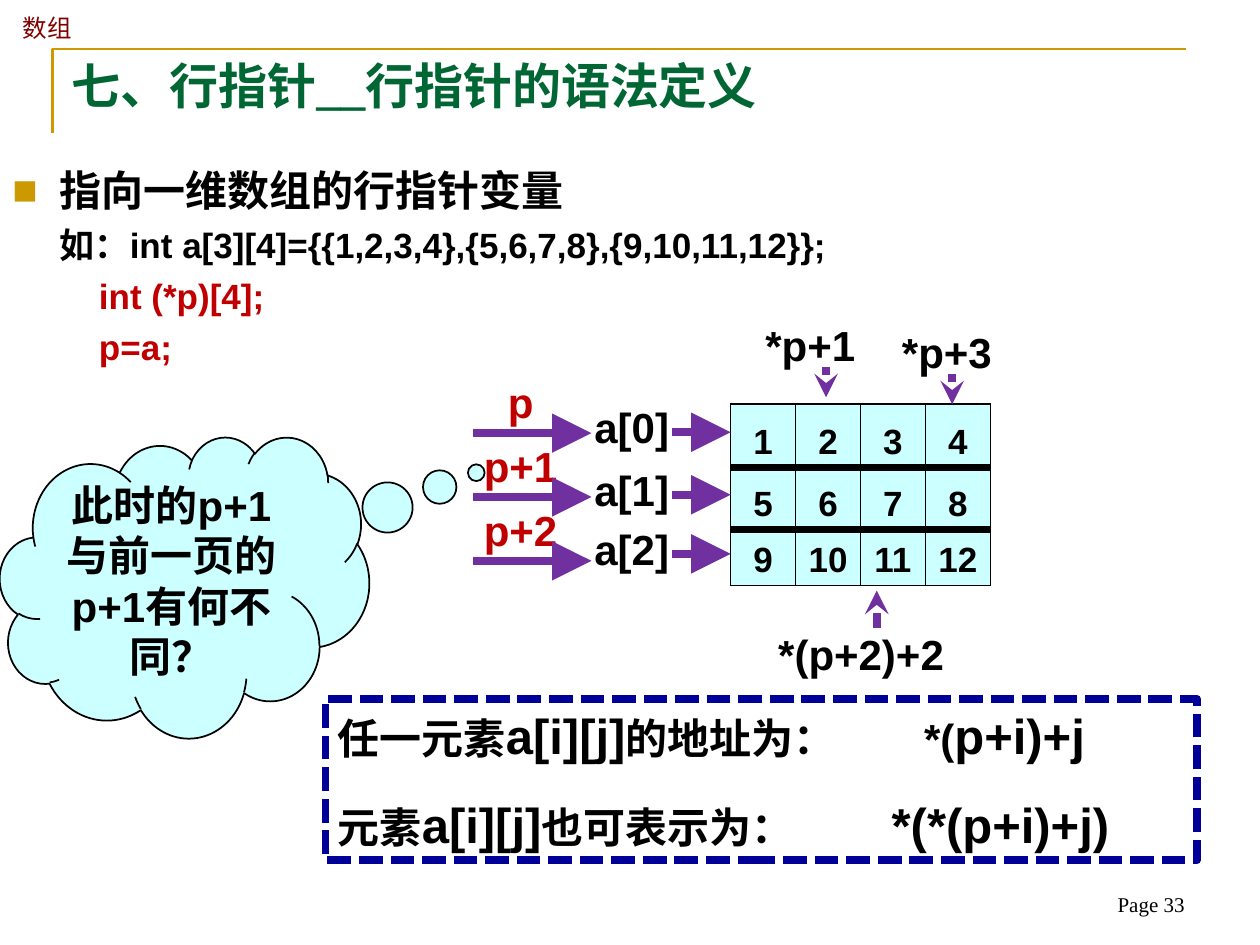
from itertools import accumulate

from lxml import etree
from pptx import Presentation
from pptx.dml.color import RGBColor
from pptx.enum import dml, shapes, text
from pptx.oxml import ns
from pptx.util import Pt

COLORS = {
    "gold": "CC9900", "green": "006633", "maroon": "800000", "red": "C00000",
    "black": "000000", "cyan": "CCFFFF", "purple": "7030A0", "navy": "000099",
}
CENTER = text.PP_ALIGN.CENTER
DASH = dml.MSO_LINE.SQUARE_DOT
THIN, THICK = 1, 4.5
LABEL_WIDTH = 150
COLUMNS = 4


def rgb(name):
    return RGBColor.from_string(COLORS[name])


def sub(parent, tag, **attrs):
    return etree.SubElement(parent, ns.qn(tag), attrs)


def style(p, size, color="black", name="Arial", bold=True, align=None):
    p.alignment = align
    f = p.font
    f.size, f.name, f.bold = Pt(size), name, bold
    f.color.rgb = rgb(color)


def paragraph(tf, index):
    return tf.add_paragraph() if index else tf.paragraphs[0]


def outline(s, color, width, dash=None):
    s.line.color.rgb = rgb(color)
    s.line.width = Pt(width)
    if dash:
        s.line.dash_style = dash


def paint(s, color=None):
    s.shadow.inherit = False
    if color:
        s.fill.solid()
        s.fill.fore_color.rgb = rgb(color)
    else:
        s.fill.background()


def textbox(slide, box, content="", size=24, **look):
    tf = slide.shapes.add_textbox(*map(Pt, box)).text_frame
    tf.word_wrap = True
    if content:
        tf.text = content
        style(tf.paragraphs[0], size, **look)
    return tf


def label(slide, center, top, content, color="black"):
    textbox(slide, (center - LABEL_WIDTH / 2, top, LABEL_WIDTH, 36), content,
            color=color, align=CENTER)


def arrow(slide, start, end, head, dash=None):
    s = slide.shapes.add_connector(
        shapes.MSO_CONNECTOR.STRAIGHT, *map(Pt, (*start, *end)))
    outline(s, "purple", THICK, dash)
    sub(s.line._get_or_add_ln(), "a:tailEnd", **head)
    sub(s._element.spPr, "a:effectLst")


def right_arrow(slide, left, right, y):
    arrow(slide, (left, y), (right, y), {"type": "triangle", "w": "lg", "len": "lg"})


def header(slide, x, y, w, h):
    fb = slide.shapes.build_freeform(Pt(x), Pt(y + h))
    fb.add_line_segments([(Pt(x), Pt(y)), (Pt(x + w), Pt(y))], close=False)
    s = fb.convert_to_shape()
    paint(s)
    outline(s, "gold", 1.5)
    textbox(slide, (x - 24, y - 24, 57, 32), "数组", 14, color="maroon",
            name="Noto Sans CJK SC", bold=False)
    textbox(slide, (x + 4, y, w, 90), "七、行指针__行指针的语法定义", 28,
            color="green", name="Times New Roman")


def body(slide, x, y, w, h):
    tf = textbox(slide, (x, y, w, h))
    text_indent, code_indent = 27, 49.5
    lines = [
        ("指向一维数组的行指针变量", 24, "black", text_indent),
        ("如：int a[3][4]={{1,2,3,4},{5,6,7,8},{9,10,11,12}};", 20, "black", text_indent),
        ("int (*p)[4];", 20, "red", code_indent),
        ("p=a;", 20, "red", code_indent),
    ]
    for i, (content, size, color, indent) in enumerate(lines):
        p = paragraph(tf, i)
        p.text = content
        pPr = p._p.get_or_add_pPr()
        pPr.set("marL", str(Pt(indent)))
        if i == 0:
            pPr.set("indent", str(-Pt(indent)))
            sub(sub(pPr, "a:buClr"), "a:srgbClr", val=COLORS["gold"])
            sub(pPr, "a:buFont", typeface="Arial")
            sub(pPr, "a:buChar", char="■")
        else:
            p.space_before = Pt(5)
        style(p, size, color)


def question_cloud(slide, x, y, w, h):
    s = slide.shapes.add_shape(shapes.MSO_SHAPE.CLOUD_CALLOUT, *map(Pt, (x, y, w, h)))
    s.adjustments[0], s.adjustments[1] = 0.79, -0.38
    paint(s, "cyan")
    outline(s, "black", THIN)
    tf = s.text_frame
    tf.word_wrap = True
    tf.text = "此时的p+1与前一页的p+1有何不同？"
    style(tf.paragraphs[0], 24, align=CENTER)


def border(cell, top, bottom):
    tcPr = cell._tc.get_or_add_tcPr()
    sides = {"lnL": THIN, "lnR": THIN, "lnT": top, "lnB": bottom}
    for i, (side, width) in enumerate(sides.items()):
        ln = etree.Element(ns.qn(f"a:{side}"), w=str(Pt(width)))
        sub(sub(ln, "a:solidFill"), "a:srgbClr", val=COLORS["black"])
        tcPr.insert(i, ln)


def matrix(slide, x, y, w, row_heights):
    last = len(row_heights) - 1
    table = slide.shapes.add_table(
        last + 1, COLUMNS, *map(Pt, (x, y, w, sum(row_heights)))).table
    table.first_row = table.horz_banding = False
    for column in table.columns:
        column.width = Pt(w / COLUMNS)
    for i, height in enumerate(row_heights):
        table.rows[i].height = Pt(height)
        for j in range(COLUMNS):
            cell = table.cell(i, j)
            cell.text = str(i * COLUMNS + j + 1)
            cell.margin_left = cell.margin_right = cell.margin_top = 0
            cell.margin_bottom = Pt(3)
            cell.vertical_anchor = text.MSO_ANCHOR.BOTTOM
            cell.fill.solid()
            cell.fill.fore_color.rgb = rgb("cyan")
            style(cell.text_frame.paragraphs[0], 20, align=CENTER)
            border(cell, top=THICK if i > 0 else THIN,
                   bottom=THICK if i < last else THIN)


def row_pointers(slide, x, y, w, row_heights):
    pointer_pitch, pointer_length, row_arrow_length = 36.5, 68, 33.5
    right = x + w
    row_left = right - row_arrow_length
    row_label_center = (x + pointer_length + row_left) / 2
    bottoms = accumulate(row_heights)
    for i, (height, bottom) in enumerate(zip(row_heights, bottoms)):
        pointer_y = y + 16.5 + i * pointer_pitch
        row_y = y + bottom - height / 2 - 2
        label(slide, x + 27.5, pointer_y - 36, f"p+{i}" if i else "p", "red")
        right_arrow(slide, x, x + pointer_length, pointer_y)
        label(slide, row_label_center, row_y - 21, f"a[{i}]")
        right_arrow(slide, row_left, right, row_y)


def element_pointers(slide, x, y, w, h):
    above, below = -1, 1
    column_width = w / COLUMNS
    pointers = [
        ("*p+1", above, 1.47, 4, 17, 9),
        ("*p+3", above, 3.41, 0, 17, 3),
        ("*(p+2)+2", below, 2.25, 3, 21.5, 9),
    ]
    for name, side, column, gap, length, label_shift in pointers:
        arrow_x = x + column * column_width
        edge = y if side == above else y + h
        tip, tail = edge + side * gap, edge + side * (gap + length)
        label_top = tail - 31 if side == above else tail - 3.5
        label(slide, arrow_x - label_shift, label_top, name)
        arrow(slide, (arrow_x, tail), (arrow_x, tip), {"type": "stealth"}, DASH)


def formulas(slide, x, y, w, h):
    s = slide.shapes.add_shape(shapes.MSO_SHAPE.RECTANGLE, *map(Pt, (x, y, w, h)))
    paint(s)
    outline(s, "navy", THICK, DASH)
    tf = s.text_frame
    tf.word_wrap = True
    tf.vertical_anchor = text.MSO_ANCHOR.TOP
    small, large = 24, 28
    lines = [
        (335, [("任一元素", small), ("a[i][j]", large),
               ("的地址为：\t*(", small), ("p+i)+j", large)]),
        (316.5, [("元素", small), ("a[i][j]", large),
                 ("也可表示为：\t", small), ("*(*(p+i)+j)", large)]),
    ]
    for i, (tab, runs) in enumerate(lines):
        p = paragraph(tf, i)
        if i:
            p.space_before = Pt(17.5)
        tabs = sub(p._p.get_or_add_pPr(), "a:tabLst")
        sub(tabs, "a:tab", pos=str(Pt(tab)), algn="l")
        style(p, small, align=text.PP_ALIGN.LEFT)
        for content, size in runs:
            r = p.add_run()
            r.text = content
            r.font.size = Pt(size)


def array_diagram(slide, x, y, w):
    row_heights = (36, 35.5, 32)
    pointer_width = 147.5
    matrix(slide, x + pointer_width, y, w - pointer_width, row_heights)
    row_pointers(slide, x, y, pointer_width, row_heights)
    element_pointers(slide, x + pointer_width, y, w - pointer_width, sum(row_heights))


def page_number(slide, x, y, w, h):
    textbox(slide, (x, y, w, h), "Page 33", 12, name="Times New Roman",
            bold=False, align=text.PP_ALIGN.RIGHT)


def main():
    prs = Presentation()
    prs.slide_width, prs.slide_height = Pt(720), Pt(540)
    slide = prs.slides.add_slide(prs.slide_layouts[6])
    header(slide, 30, 28, 648, 48)
    body(slide, 0, 90.5, 720, 122)
    question_cloud(slide, 0, 249.5, 211, 172)
    formulas(slide, 186, 399.5, 498, 92)
    array_diagram(slide, 270, 231, 296)
    page_number(slide, 516, 506, 168, 22)
    prs.save("out.pptx")


if __name__ == "__main__":
    main()
